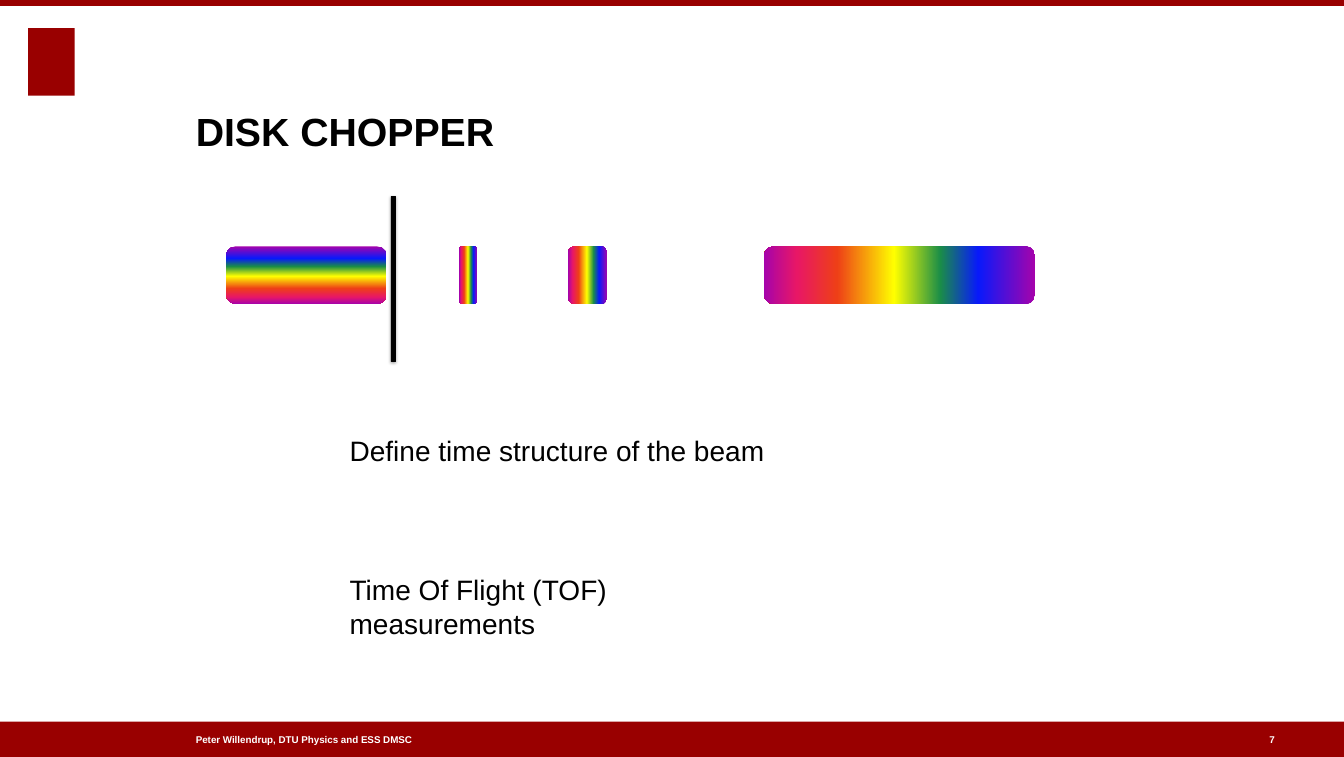
from lxml import etree
from pptx import Presentation, util as u
from pptx.dml.color import RGBColor
from pptx.enum import shapes, text
from pptx.oxml.ns import qn

RED, BLACK, WHITE = "990000", "000000", "FFFFFF"
SPECTRUM = [(0, "A603AB"), (21, "0819FB"), (35, "1A8D48"), (52, "FFFF00"),
            (73, "EE3F17"), (88, "E81766"), (100, "A603AB")]
WIDTH, HEIGHT = 33.83, 19.05
MARGIN = 4.93
RECT = shapes.MSO_SHAPE.RECTANGLE
ROUNDED = shapes.MSO_SHAPE.ROUNDED_RECTANGLE


def colour(value):
    return RGBColor.from_string(value)


def add_colour(parent, value):
    return etree.SubElement(parent, qn("a:srgbClr"), val=value)


class Painter:
    """Holds the text style and the current slide; lengths are in cm."""

    def __init__(self, slide, font="Arial"):
        self.slide = slide
        self.font = font

    def shape(self, kind, left, top, width, height):
        item = self.slide.shapes.add_shape(
            kind, u.Cm(left), u.Cm(top), u.Cm(width), u.Cm(height))
        item.shadow.inherit = False
        item.line.fill.background()
        return item

    def bar(self, left, top, width, height, fill):
        item = self.shape(RECT, left, top, width, height)
        item.fill.solid()
        item.fill.fore_color.rgb = colour(fill)
        return item

    def spectrum(self, left, top, width, height, angle):
        """Rainbow beam; angle runs counter-clockwise."""
        item = self.shape(ROUNDED, left, top, width, height)
        item.adjustments[0] = 0.167
        item.fill.gradient()
        item.fill.gradient_angle = angle
        stops = item.element.spPr.find(qn("a:gradFill")).find(qn("a:gsLst"))
        stops.clear()
        for position, value in SPECTRUM:
            stop = etree.SubElement(stops, qn("a:gs"), pos=str(position * 1000))
            add_colour(stop, value)

    def chopper(self, left, top, width, height):
        item = self.bar(left, top, width, height, BLACK)
        item.line.color.rgb = colour(BLACK)
        item.line.width = u.Pt(0.25)
        effects = item.element.spPr.find(qn("a:effectLst"))
        shadow = etree.SubElement(
            effects, qn("a:outerShdw"), blurRad=str(u.Pt(2)),
            dist=str(u.Pt(1)), dir="5400000", rotWithShape="0")
        etree.SubElement(add_colour(shadow, BLACK), qn("a:alpha"), val="35000")

    def text(self, lines, left, top, width, height, size, fill=BLACK,
             bold=False, anchor=text.MSO_ANCHOR.TOP, gap=0, wrap=True):
        box = self.slide.shapes.add_textbox(
            u.Cm(left), u.Cm(top), u.Cm(width), u.Cm(height))
        frame = box.text_frame
        frame.margin_left = frame.margin_right = 0
        frame.margin_top = frame.margin_bottom = 0
        frame.word_wrap = wrap
        frame.vertical_anchor = anchor
        frame.text = "\n".join(lines)
        for index, para in enumerate(frame.paragraphs):
            if index:
                para.space_before = u.Pt(gap)
            for span in para.runs:
                span.font.name = self.font
                span.font.size = u.Pt(size)
                span.font.bold = bold
                span.font.color.rgb = colour(fill)


def main():
    deck = Presentation()
    deck.slide_width, deck.slide_height = u.Cm(WIDTH), u.Cm(HEIGHT)
    page = Painter(deck.slides.add_slide(deck.slide_layouts[6]))

    # Top band, emblem block and footer band
    page.bar(0, 0, WIDTH, 0.15, RED)
    page.bar(0.71, 0.71, 1.17, 1.7, RED)
    page.bar(0, 18.16, WIDTH, 0.89, RED)

    # Footer text and page number
    footer = dict(top=18.44, height=0.36, size=7, fill=WHITE, bold=True,
                  anchor=text.MSO_ANCHOR.MIDDLE)
    page.text(["Peter Willendrup, DTU Physics and ESS DMSC"],
              left=MARGIN, width=9.45, **footer)
    page.text(["7"], left=31.95, width=0.36, wrap=False, **footer)

    # Title
    page.text(["DISK CHOPPER"], MARGIN, 1.19, 25.86, 2.69, 28, bold=True,
              anchor=text.MSO_ANCHOR.BOTTOM)

    # Incoming beam, chopper disk and the spreading pulses
    beam_top, beam_height = 6.2, 1.45
    page.spectrum(5.69, beam_top, 4.04, beam_height, 270)
    for left, width in [(11.56, 0.46), (14.3, 0.99), (19.23, 6.83)]:
        page.spectrum(left, beam_top, width, beam_height, 180)
    page.chopper(9.84, 4.94, 0.12, 4.16)

    # Statements
    page.text(["Define time structure of the beam",
               "Time Of Flight (TOF) measurements"],
              8.8, 10.92, 11.2, 4.4, 20, gap=75)

    deck.save("out.pptx")


if __name__ == "__main__":
    main()
